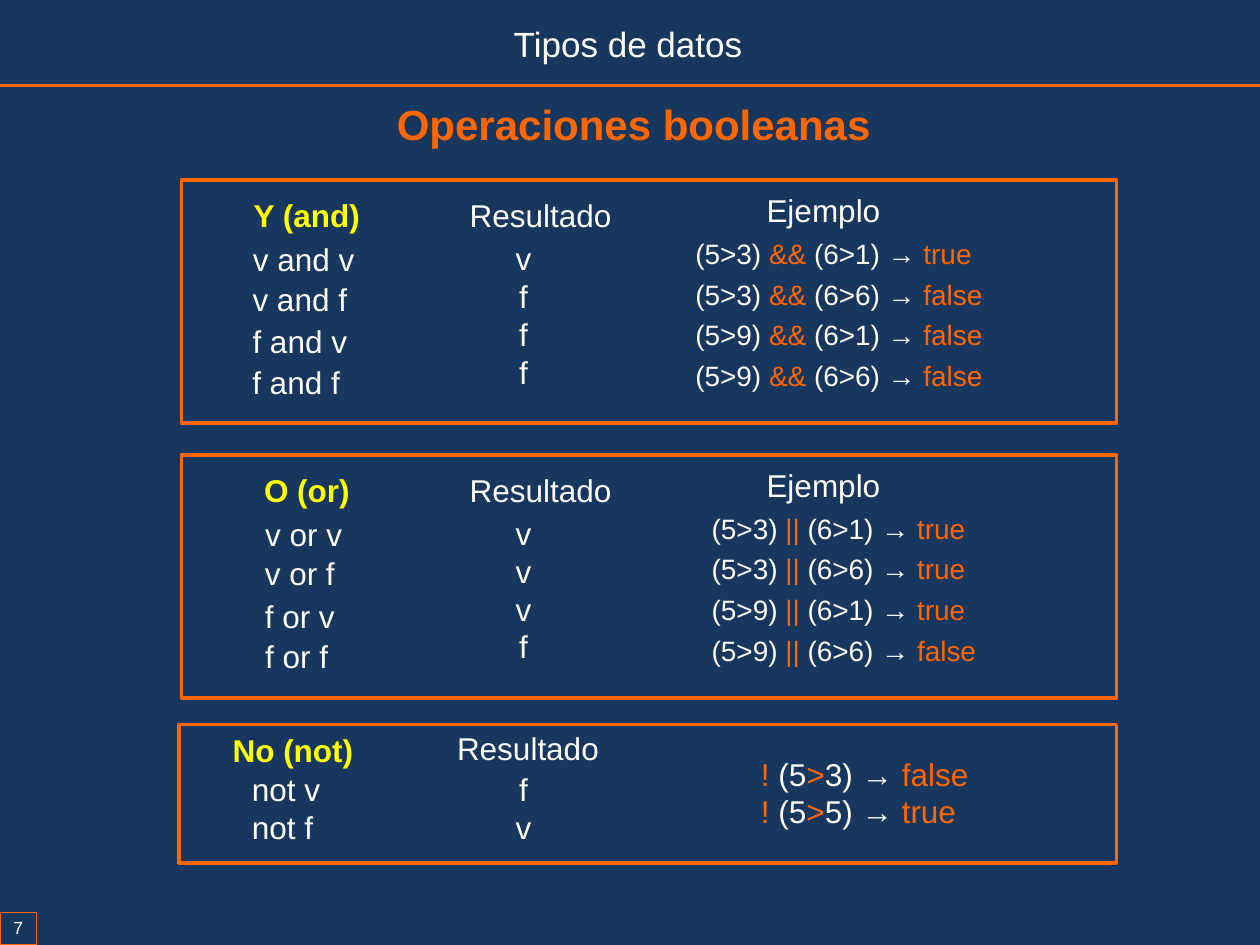
from pptx import Presentation
from pptx import util as u
from pptx.dml.color import RGBColor
from pptx.enum import shapes, text
from lxml import etree

HUES = {"back": "17375E", "main": "FF6600", "text": "FFFFFF", "head": "FFFF00"}
LEFT, MID = text.PP_ALIGN.LEFT, text.PP_ALIGN.CENTER


def hue(name):
    return RGBColor.from_string(HUES[name])


class Deck:
    font = "Arial"

    def __init__(self, wide, high):
        self.prs = Presentation()
        self.prs.slide_width = u.Inches(wide)
        self.prs.slide_height = u.Inches(high)
        self.slide = self.prs.slides.add_slide(self.prs.slide_layouts[5])
        fill = self.slide.background.fill
        fill.solid()
        fill.fore_color.rgb = hue("back")

    def words(self, shape, lines, size=18, color="text", bold=False,
              align=MID, after=0, **extra):
        frame = shape.text_frame
        form = {"word_wrap": False, "vertical_anchor": text.MSO_ANCHOR.TOP,
                "auto_size": text.MSO_AUTO_SIZE.SHAPE_TO_FIT_TEXT, **extra}
        for key, val in form.items():
            setattr(frame, key, val)
        look = {"name": self.font, "size": u.Pt(size), "bold": bold}
        for i, line in enumerate(lines):
            para = frame.add_paragraph() if i else frame.paragraphs[0]
            para.alignment = align
            para.space_after = u.Pt(after)
            for j, part in enumerate(line.split("*")):
                if not part:
                    continue
                run = para.add_run()
                run.text = part
                for key, val in look.items():
                    setattr(run.font, key, val)
                run.font.color.rgb = hue("main" if j % 2 else color)

    def title(self, spot, line, **form):
        shape = self.slide.shapes.title
        for key, val in zip(("left", "top", "width", "height"), spot):
            setattr(shape, key, u.Inches(val))
        self.words(shape, [line], word_wrap=True, **form)

    def label(self, spot, *lines, **form):
        shape = self.slide.shapes.add_textbox(*map(u.Inches, spot))
        self.words(shape, lines, **form)

    def box(self, spot, width=2):
        shape = self.slide.shapes.add_shape(
            shapes.MSO_SHAPE.RECTANGLE, *map(u.Inches, spot))
        shape.shadow.inherit = False
        shape.fill.background()
        shape.line.color.rgb = hue("main")
        shape.line.width = u.Pt(width)
        return shape

    def rule(self, *ends):
        line = self.slide.shapes.add_connector(
            shapes.MSO_CONNECTOR.STRAIGHT, *map(u.Inches, ends))
        line.line.color.rgb = hue("main")
        line.line.width = u.Pt(2)
        space = "{http://schemas.openxmlformats.org/drawingml/2006/main}"
        etree.SubElement(line._element.spPr, space + "effectLst")

    def table(self, top, head, rows, marks, demo):
        name, x, width = head
        self.box((1.44, top, 7.42, 1.93))
        self.label((x, top + 0.08, width, 0.4), name, color="head", bold=True)
        left, sizes, terms = rows
        for dy, size, term in zip((0.43, 0.74, 1.08, 1.4), sizes, terms):
            self.label((left, top + dy, size, 0.4), term)
        self.label((3.62, top + 0.08, 1.34, 0.4), "Resultado")
        self.label((3.99, top + 0.42, 0.33, 1.31), *marks)
        self.label((5.98, top + 0.04, 1.11, 0.4), "Ejemplo")
        x, width, sign, ends = demo
        pairs = [(a, b) for a in (3, 9) for b in (1, 6)]
        lines = [f"(5>{a}) *{sign}* (6>{b}) → *{end}"
                 for (a, b), end in zip(pairs, ends)]
        self.label((x, top + 0.4, width, 1.35), *lines,
                   size=16, align=LEFT, after=4)


deck = Deck(10, 7.5)
deck.rule(0, 0.68, 10, 0.68)
page = deck.box((0, 7.24, 0.29, 0.26), 0.75)
deck.words(page, ["7"], size=10, margin_left=u.Inches(0.02),
           margin_right=u.Inches(0.02), margin_top=u.Inches(0.04),
           margin_bottom=u.Inches(0.04))
deck.label((3.97, 0.13, 2.03, 0.44), "Tipos de datos", size=20)
deck.title((1.48, 0.73, 7.1, 0.5), "Operaciones booleanas",
           size=24, color="main", bold=True)

pairs = ("vv", "vf", "fv", "ff")
deck.table(1.43, ("Y (and)", 1.91, 1.05),
           (1.9, (1.02, 0.96, 0.96, 0.9), [f"{a} and {b}" for a, b in pairs]),
           "vfff", (5.42, 2.51, "&&", ("true", "false", "false", "false")))
deck.table(3.61, ("O (or)", 1.99, 0.89),
           (2, (0.82, 0.76, 0.76, 0.71), [f"{a} or {b}" for a, b in pairs]),
           "vvvf", (5.55, 2.33, "||", ("true", "true", "true", "false")))

deck.box((1.42, 5.75, 7.44, 1.1))
deck.label((1.74, 5.75, 1.17, 0.4), "No (not)", color="head", bold=True)
deck.label((1.9, 6.06, 0.75, 0.71), "not v", "not f", align=LEFT)
deck.label((3.52, 5.74, 1.34, 0.4), "Resultado")
deck.label((3.74, 6.06, 0.83, 0.71), "f", "v", word_wrap=True)
deck.label((5.94, 5.94, 2.18, 0.71), "*! *(5*>*3) → *false",
           "*! *(5*>*5) → *true", align=LEFT, word_wrap=True)

deck.prs.save("out.pptx")
